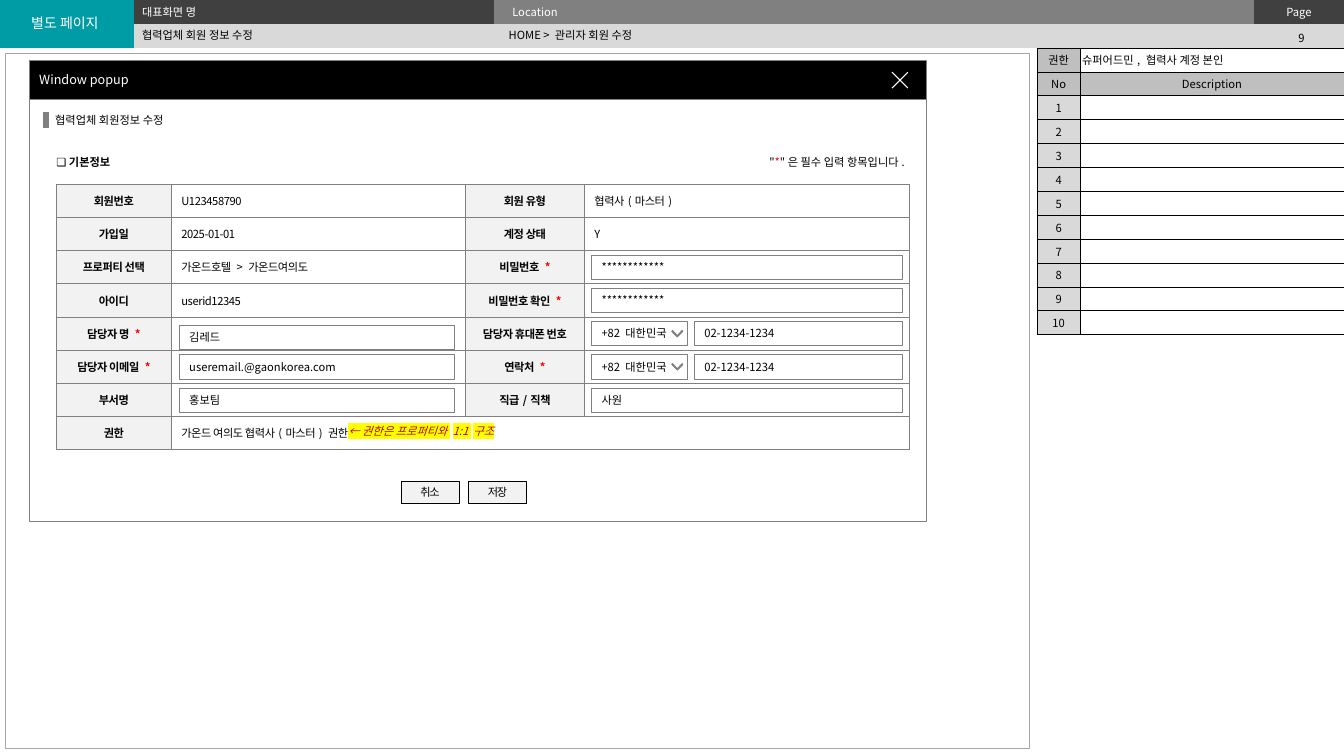
"""Build the partner member edit screen of a storyboard."""
from lxml import etree
from pptx import Presentation
from pptx.dml.color import RGBColor
from pptx.enum.shapes import MSO_CONNECTOR, MSO_SHAPE
from pptx.enum.text import MSO_ANCHOR, PP_ALIGN
from pptx.oxml.ns import qn
from pptx.util import Cm, Pt

RECT, LINE = MSO_SHAPE.RECTANGLE, MSO_CONNECTOR.STRAIGHT
LEFT, MID, RIGHT = PP_ALIGN.LEFT, PP_ALIGN.CENTER, PP_ALIGN.RIGHT
TOP, CORE = MSO_ANCHOR.TOP, MSO_ANCHOR.MIDDLE
FONT = "Noto Sans CJK KR"
PLAIN = "{2D5ABB26-0587-4C30-8999-92F81FD0307C}"
BLACK, WHITE, RED, GRAY = "000000", "FFFFFF", "FF0000", "808080"
DARK, PALE, LIGHT, SILVER = "404040", "D9D9D9", "F2F2F2", "BFBFBF"

HEAD = [["", "", "Location", "Page"], ["", "", "", ""]]
HEADFILL = [["009CA6", DARK, GRAY, DARK], ["009CA6", PALE, PALE, PALE]]
HEADCOLS = [3.37, 9.08, 19.15, 2.27]

SIDE = [["권한", "슈퍼어드민, 협력사 계정 본인"], ["No", "Description"]]
SIDE += [[str(n), ""] for n in range(1, 11)]
SIDECOLS = [1.08, 6.65]

FORM = [
    ["회원번호", "U123458790", "회원 유형", "협력사(마스터)"],
    ["가입일", "2025-01-01", "계정 상태", "Y"],
    ["프로퍼티 선택", "가온드호텔 > 가온드여의도", "비밀번호 *", ""],
    ["아이디", "userid12345", "비밀번호 확인 *", ""],
    ["담당자 명 *", "", "담당자 휴대폰 번호", ""],
    ["담당자 이메일 *", "", "연락처 *", ""],
    ["부서명", "", "직급/직책", ""],
    ["권한", "가온드 여의도 협력사(마스터) 권한", "", ""],
]
FORMCOLS = [2.9, 7.41, 3, 8.19]
FORMTOP, FORMROW = 4.64, 6.68 / 8

NAME, WIDE = (4.52, 6.93), (14.91, 7.82)
CODE, PHONE = (14.91, 2.41), (17.5, 5.23)
FIELDS = [
    (5, NAME, "useremail.@gaonkorea.com"), (6, NAME, "홍보팀"), (6, WIDE, "사원"),
    (4.1, NAME, "김레드"), (4, CODE, "+82 대한민국"), (4, PHONE, "02-1234-1234"),
    (5, CODE, "+82 대한민국"), (5, PHONE, "02-1234-1234"),
    (2, WIDE, "************"), (3, WIDE, "************"),
]
BUTTONS = ["취소", "저장"]

LABELS = [
    ((31.7, 0.66, 2.2, 0.6), "9", dict(align=MID)),
    ((3.33, 0.61, 9.22, 0.56), "협력업체 회원 정보 수정", dict(anchor=CORE)),
    ((0.2, 0.23, 2.87, 0.69), "별도 페이지", dict(size=10, color=WHITE, align=MID)),
    ((12.57, 0.61, 9.22, 0.56), "HOME > 관리자 회원 수정", dict(anchor=CORE)),
    ((3.33, 0, 9.2, 0.56), "대표화면 명", dict(color=WHITE)),
    ((1.14, 2.74, 6.12, 0.61), "협력업체 회원정보 수정", {}),
    ((1.17, 3.78, 2.5, 0.61), "❏ 기본정보", dict(bold=True)),
    ((18.85, 3.78, 4.2, 0.61), '"*"은 필수 입력 항목입니다.', dict(align=RIGHT, mark=True)),
]
NOTE = "← 권한은 프로퍼티와 1:1 구조"


def rgb(code):
    return RGBColor.from_string(code)


def sub(node, tag, **attrs):
    return etree.SubElement(node, qn("a:" + tag), **attrs)


def write(frame, text, size=8, color=BLACK, bold=False, italic=False,
          align=LEFT, anchor=TOP, space=0, mark=False, light=None):
    frame.word_wrap = True
    frame.vertical_anchor = anchor
    para = frame.paragraphs[0]
    para.alignment = align
    if not text:
        sub(para._p, "endParaRPr", sz=str(size * 100))
    for part in filter(None, text.partition("*") if mark else [text]):
        run = para.add_run()
        run.text = part
        font = run.font
        font.size, font.bold, font.italic = Pt(size), bold, italic
        font.color.rgb = rgb(RED if mark and part == "*" else color)
        props = run._r.get_or_add_rPr()
        if space:
            props.set("spc", str(space))
        if light:
            sub(sub(props, "highlight"), "srgbClr", val=light)
        font.name = FONT
        sub(props, "ea", typeface=FONT)


def label(box, text, **form):
    write(shapes.add_textbox(*map(Cm, box)).text_frame, text, **form)


def style(shape, fill, line, width):
    shape.shadow.inherit = False
    if fill:
        shape.fill.solid()
        shape.fill.fore_color.rgb = rgb(fill)
    else:
        shape.fill.background()
    shape.line.color.rgb = rgb(line)
    shape.line.width = Pt(width)


def rect(box, fill, line, width, text="", pad=0.25, **form):
    shape = shapes.add_shape(RECT, *map(Cm, box))
    style(shape, fill, line, width)
    if text:
        frame = shape.text_frame
        frame.margin_left = frame.margin_right = Cm(pad)
        frame.margin_top = frame.margin_bottom = 0
        write(frame, text, anchor=CORE, **form)


def trace(lines, close, fill, line):
    paths = [[(Cm(x), Cm(y)) for x, y in points] for points in lines]
    pen = shapes.build_freeform(*paths[0][0], scale=1.0)
    for num, points in enumerate(paths):
        if num:
            pen.move_to(*points[0])
        pen.add_line_segments(points[1:], close=close)
    style(pen.convert_to_shape(), fill, line, 0.75)


def grid(left, top, cols, row, data, look, pad, border=None, thick=0):
    """Draw a table; look(r, c) gives a fill and a text format."""
    table = shapes.add_table(len(data), len(cols), Cm(left), Cm(top),
                             Cm(sum(cols)), Cm(row * len(data))).table
    table.first_row = table.horz_banding = False
    table._tbl.tblPr.find(qn("a:tableStyleId")).text = PLAIN
    for col, width in zip(table.columns, cols):
        col.width = Cm(width)
    for r, texts in enumerate(data):
        table.rows[r].height = Cm(row)
        for c, text in enumerate(texts):
            cell = table.cell(r, c)
            fill, form = look(r, c)
            cell.margin_left = cell.margin_right = Cm(pad)
            cell.margin_top = cell.margin_bottom = Cm(0.09)
            cell.vertical_anchor = CORE
            write(cell.text_frame, text, anchor=CORE, **form)
            for side in ("lnL", "lnR", "lnT", "lnB") if border else ():
                edge = sub(cell._tc.get_or_add_tcPr(), side, w=str(Pt(thick)))
                sub(sub(edge, "solidFill"), "srgbClr", val=border)
            if fill:
                cell.fill.solid()
                cell.fill.fore_color.rgb = rgb(fill)
    return table


def headlook(r, c):
    return HEADFILL[r][c], dict(color=WHITE, align=MID if c == 3 else LEFT)


def sidelook(r, c):
    fill = (SILVER if r < 2 else PALE) if c == 0 or r == 1 else None
    return fill, dict(align=MID if fill else LEFT)


def formlook(r, c):
    if c % 2 == 0:
        return LIGHT, dict(bold=True, align=MID, space=-30, mark=True)
    return WHITE, dict(space=-30)


deck = Presentation()
deck.slide_width, deck.slide_height = Cm(33.87), Cm(19.05)
shapes = deck.slides.add_slide(deck.slide_layouts[6]).shapes

head = grid(0, 0, HEADCOLS, 0.6, HEAD, headlook, 0.46)
head.cell(0, 0).merge(head.cell(1, 0))
rect((0.13, 1.35, 25.8, 17.5), None, "A6A6A6", 0.25)
rect((0.74, 2.5, 22.6, 10.64), WHITE, GRAY, 0.5)
rect((0.74, 1.52, 22.6, 0.98), BLACK, GRAY, 0.5, "Window popup", size=9, color=WHITE)
trace([[(22.88, 1.82), (22.48, 2.22)], [(22.48, 1.82), (22.88, 2.22)]],
      False, None, WHITE)
grid(26.14, 1.21, SIDECOLS, 7.23 / 12, SIDE, sidelook, 0.05, BLACK, 0.5)

for box, text, form in LABELS:
    label(box, text, **form)
bar = shapes.add_connector(LINE, Cm(1.16), Cm(2.82), Cm(1.16), Cm(3.23))
bar.line.color.rgb = rgb(GRAY)
bar.line.width = Pt(4.5)
sub(bar._element.spPr, "effectLst")

form = grid(1.42, FORMTOP, FORMCOLS, FORMROW, FORM, formlook, 0.25, GRAY, 0.25)
form.cell(7, 1).merge(form.cell(7, 3))

for row, (left, width), text in FIELDS:
    top = FORMTOP + row * FORMROW + 0.12
    rect((left, top, width, 0.61), WHITE, GRAY, 0.25, text)
    if (left, width) == CODE:
        x, y = 17.07, top + 0.25
        trace([[(x + 0.14, y), (x + 0.12, y - 0.02), (x, y + 0.11),
                (x - 0.12, y - 0.02), (x - 0.14, y), (x, y + 0.14)]],
              True, "5F5F5F", GRAY)

for num, text in enumerate(BUTTONS):
    rect((10.11 + num * 1.7, 12.13, 1.46, 0.54), LIGHT, BLACK, 0.25, text,
         pad=0, align=MID, space=-90)
label((8.53, 10.57, 4.22, 0.61), NOTE, color="C00000", italic=True, light="FFFF00")

deck.save("out.pptx")
